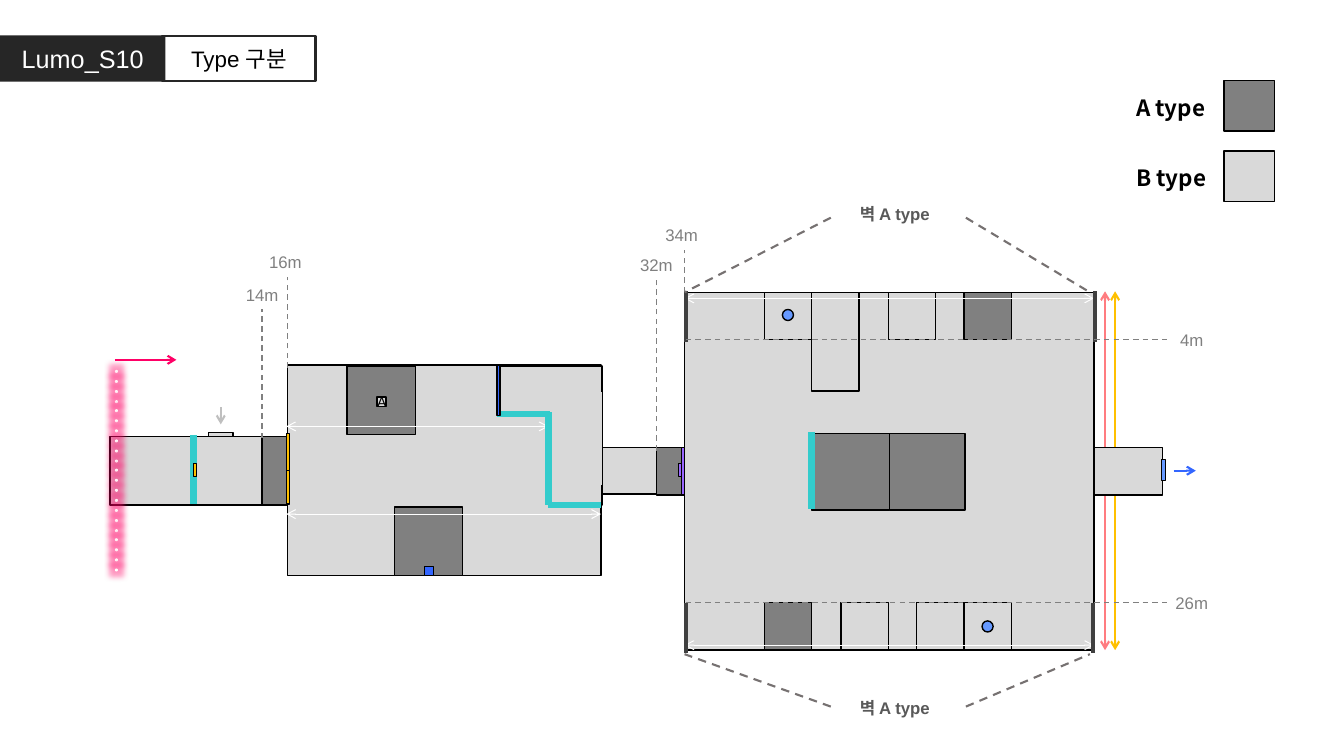
"""Build the exhibition floor plan slide that marks A type and B type zones."""
import dataclasses
import typing

import pptx
import pptx.dml.color
import pptx.enum.dml
import pptx.enum.shapes
import pptx.enum.text
import pptx.oxml
import pptx.oxml.ns
import pptx.util

EMU_PER_PX = 9144
A_TYPE, B_TYPE = "808080", "D9D9D9"
BLACK, WHITE, INK, GREY, CYAN = "000000", "FFFFFF", "262626", "808080", "33CCCC"
AMBER, VIOLET, BLUE, SKY, PINK = "FFC000", "9966FF", "3366FF", "6699FF", "FF0066"
KOREAN_FONT = "Noto Sans CJK KR"
RECTANGLE = pptx.enum.shapes.MSO_SHAPE.RECTANGLE
OVAL = pptx.enum.shapes.MSO_SHAPE.OVAL
CENTER = pptx.enum.text.PP_ALIGN.CENTER
LEFT = pptx.enum.text.PP_ALIGN.LEFT


def px(length):
    """Turn px into EMU."""
    return pptx.util.Emu(length * EMU_PER_PX)


def color(hex_value):
    """Turn a hex string into a colour."""
    return pptx.dml.color.RGBColor.from_string(hex_value)


def element(xml):
    """Parse one DrawingML element."""
    return pptx.oxml.parse_xml(xml.replace(" ", f' {pptx.oxml.ns.nsdecls("a")} ', 1))


def write(shape, text, size, hex_value, font="Arial", bold=False, align=CENTER):
    """Put one formatted line of text in a shape."""
    frame = shape.text_frame
    frame.text = text
    frame.word_wrap = True
    frame.vertical_anchor = pptx.enum.text.MSO_ANCHOR.MIDDLE
    paragraph = frame.paragraphs[0]
    paragraph.alignment = align
    for run in paragraph.runs:
        run.font.size = pptx.util.Pt(size)
        run.font.name = font
        run.font.bold = bold
        run.font.color.rgb = color(hex_value)
        run.font._element.append(element(f'<a:ea typeface="{KOREAN_FONT}"/>'))


@dataclasses.dataclass
class Area:
    """A box on the slide whose parts are placed from its top left corner."""
    shapes: typing.Any
    left: int
    top: int
    width: int
    height: int

    def block(self, left, top, width, height, fill=B_TYPE, line=BLACK, weight=1, kind=RECTANGLE):
        """Add a filled and outlined shape."""
        shape = self.shapes.add_shape(
            kind, px(self.left + left), px(self.top + top), px(width), px(height))
        shape.shadow.inherit = False
        if fill:
            shape.fill.solid()
            shape.fill.fore_color.rgb = color(fill)
        else:
            shape.fill.background()
        if line:
            shape.line.color.rgb = color(line)
            shape.line.width = pptx.util.Pt(weight)
        else:
            shape.line.fill.background()
        return shape

    def base(self):
        """Fill the whole area as a floor."""
        return self.block(0, 0, self.width, self.height)

    def line(self, x1, y1, x2, y2, hex_value, weight, ends="", dashed=False):
        """Add a straight line with optional arrowheads."""
        connector = self.shapes.add_connector(
            pptx.enum.shapes.MSO_CONNECTOR.STRAIGHT, px(self.left + x1), px(self.top + y1),
            px(self.left + x2), px(self.top + y2))
        connector.line.color.rgb = color(hex_value)
        connector.line.width = pptx.util.Pt(weight)
        if dashed:
            connector.line.dash_style = pptx.enum.dml.MSO_LINE.DASH
        for end in ends.split():
            connector.line._get_or_add_ln().append(element(f'<a:{end} type="arrow"/>'))
        connector._element.spPr.append(element("<a:effectLst />"))

    def label(self, left, top, width, height, text, size=12, hex_value=GREY, **style):
        """Add a text box."""
        box = self.shapes.add_textbox(
            px(self.left + left), px(self.top + top), px(width), px(height))
        write(box, text, size, hex_value, **style)
        box.text_frame.auto_size = pptx.enum.text.MSO_AUTO_SIZE.SHAPE_TO_FIT_TEXT

    def distance(self, x, start, end, text, label_left):
        """Add a dashed upright guide with its distance above."""
        self.line(x, start, x, end, GREY, 1, dashed=True)
        self.label(label_left, end - 30, 58, 30, text)


def add_header(area, title):
    """Place the title and the framed subject beside it."""
    title.left, title.top = px(area.left), px(area.top)
    title.width, title.height = px(164), px(area.height)
    title.fill.solid()
    title.fill.fore_color.rgb = color(INK)
    write(title, "Lumo_S10", 18, WHITE)
    title.text_frame.auto_size = pptx.enum.text.MSO_AUTO_SIZE.NONE
    subject = area.block(161, 1, 152, 44, None, INK, 1.5)
    write(subject, "Type 구분", 16, BLACK)


def add_legend(area):
    """Place a name and a swatch for each type."""
    for index, (name, fill) in enumerate((("A type", A_TYPE), ("B type", B_TYPE))):
        top = index * 70
        area.block(97, top, 50, 50, fill)
        area.label(0, top + 8, 107, 37, name, 16, BLACK, font=KOREAN_FONT, bold=True, align=LEFT)


def add_corridor(area):
    """Place the passage between the room and the hall."""
    area.base()
    area.block(54, 0, 26, 47, A_TYPE)
    area.distance(54, 3, -166, "32m", 25)


def add_hall(area):
    """Place the main hall with booths, walls, exit and dimensions."""
    area.base()
    area.block(-6, 170, 3, 13, VIOLET)
    area.block(-3, 154, 3, 47, VIOLET)
    for left, top, height, fill in (
            (79, 0, 47, B_TYPE), (126, 0, 98, B_TYPE), (202, 0, 47, B_TYPE), (277, 0, 47, A_TYPE),
            (79, 308, 47, A_TYPE), (155, 308, 47, B_TYPE), (230, 308, 47, B_TYPE),
            (277, 308, 47, B_TYPE)):
        area.block(left, top, 47, height, fill)
    area.block(126, 140, 77, 76, A_TYPE)
    area.block(203, 140, 75, 76, A_TYPE)
    for y in (6, 350):
        area.line(0, y, area.width, y, WHITE, 0.75, "headEnd tailEnd")
    for x, hex_value in ((427, AMBER), (417, "FF7C80")):
        area.line(x, area.height, x, -1, hex_value, 1.5, "headEnd tailEnd")
    area.block(406, 154, 68, 47)
    area.line(485, 177, 507, 177, BLUE, 1.5, "tailEnd")
    area.block(473, 166, 4, 21, SKY)
    for left, top in ((97, 17), (295, 326)):
        area.block(left, top, 11, 11, SKY, kind=OVAL)
    area.line(126, 139, 126, 215, CYAN, 4.5)
    area.distance(0, 0, -42, "34m", -32)
    for x, top in ((1, -1), (1, 308), (407, -1), (405, 308)):
        area.line(x, top, x, top + 50, "404040", 3)
    for label_top, inner, corner in ((-93, -74, 0), (397, 411, 359)):
        area.line(145, inner, 0, corner, "767171", 1.5, dashed=True)
        area.line(279, inner, 402, corner, "767171", 1.5, dashed=True)
        area.label(93, label_top, 231, 30, "벽 A type", 12, "595959", bold=True)
    for y, text in ((47, "4m"), (308, "26m")):
        area.line(1, y, 478, y, GREY, 1, dashed=True)
        area.label(474, y - 15, 58, 30, text)


def add_room(area):
    """Place the middle room with its partition and exhibits."""
    area.base()
    area.block(59, 1, 68, 68, A_TYPE)
    area.block(106, 141, 68, 68, A_TYPE)
    area.block(208, 1, 104, 47)
    area.block(260, 47, 52, 92)
    area.block(261, 27, 51, 92, line=None)
    for y, right in ((61, 259), (148, 311)):
        area.line(-1, y, right, y, WHITE, 0.75, "headEnd tailEnd")
    for ends in ((208, 49, 260, 49), (259, 47, 259, 139), (259, 139, 311, 139)):
        area.line(*ends, CYAN, 4.5)
    area.block(136, 200, 9, 9, BLUE)
    area.block(208, 0, 3, 50, BLUE)
    marker = area.block(89, 32, 9, 9)
    write(marker, "A", 10, BLACK)
    frame = marker.text_frame
    frame.margin_left = frame.margin_right = frame.margin_top = frame.margin_bottom = 0
    area.distance(0, 3, -87, "16m", -31)


def add_entrance(area):
    """Place the entrance passage with its doors and glowing light curtain."""
    area.base()
    area.block(98, -4, 24, 4)
    area.line(83, -1, 83, 67, CYAN, 4.5)
    area.block(83, 27, 3, 13, AMBER)
    area.line(5, -76, 66, -76, PINK, 1.5, "tailEnd")
    area.line(110, -29, 110, -12, "BFBFBF", 1.5, "tailEnd")
    for top in (30, -3):
        area.block(175, top, 3, 37, AMBER)
    for index in range(21):
        dot = area.block(5, -66 + round(index * 9.85), 3, 3, WHITE, None, kind=OVAL)
        dot._element.spPr.find(pptx.oxml.ns.qn("a:effectLst")).append(element(
            f'<a:glow rad="101600"><a:srgbClr val="{PINK}"><a:alpha val="40000"/>'
            '</a:srgbClr></a:glow>'))
    area.block(151, 0, 24, 68, A_TYPE)
    area.distance(151, 2, -126, "14m", 122)


def main():
    """Assemble and save the slide."""
    presentation = pptx.Presentation()
    presentation.slide_width, presentation.slide_height = px(1333), px(750)
    slide = presentation.slides.add_slide(presentation.slide_layouts[5])
    shapes = slide.shapes
    add_header(Area(shapes, 0, 35, 313, 46), shapes.title)
    add_legend(Area(shapes, 1117, 80, 147, 120))
    add_corridor(Area(shapes, 597, 444, 79, 46))
    add_hall(Area(shapes, 679, 290, 406, 355))
    add_room(Area(shapes, 285, 362, 311, 209))
    add_entrance(Area(shapes, 109, 433, 175, 68))
    presentation.save("out.pptx")


if __name__ == "__main__":
    main()
